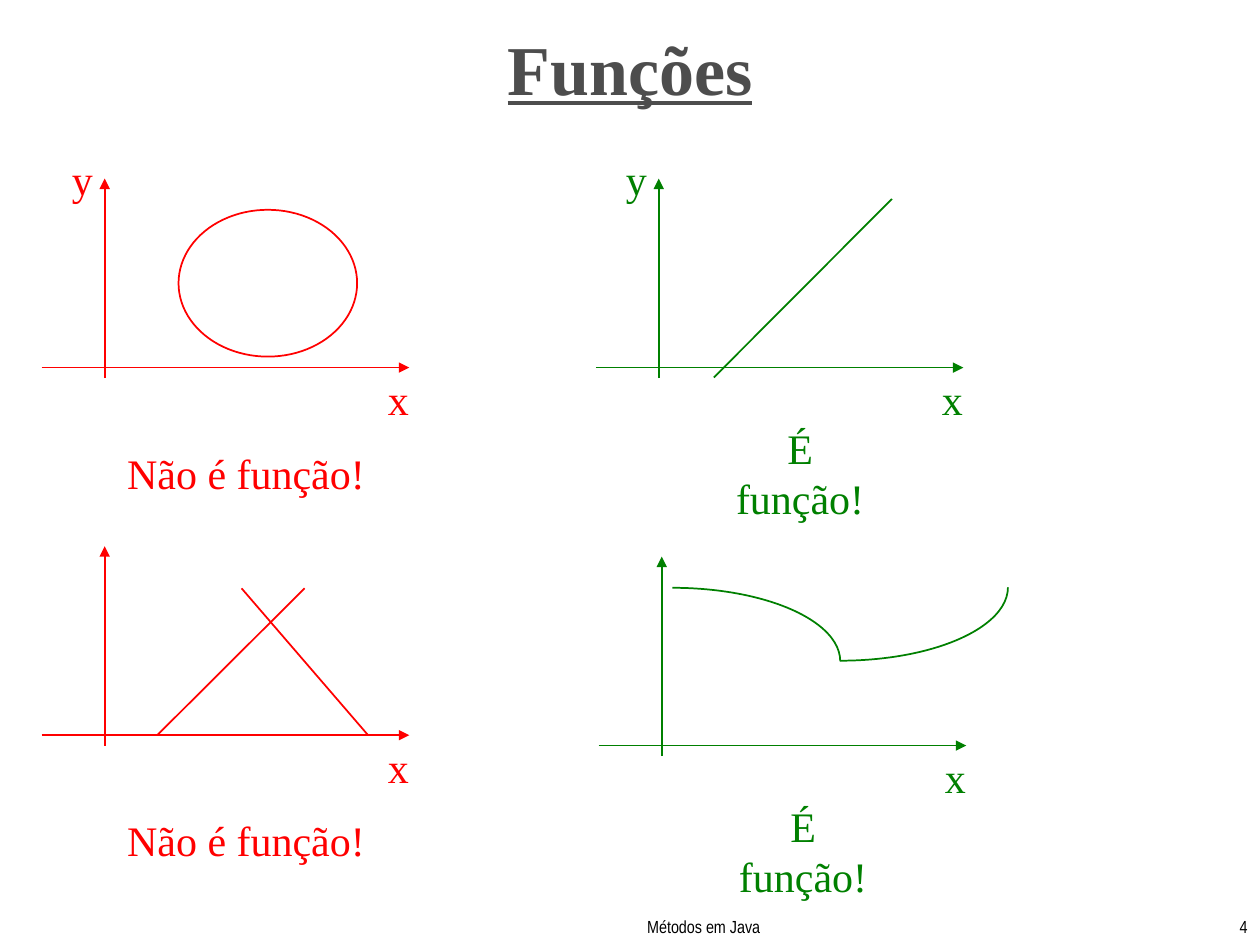
import pptx
import pptx.dml.color
import pptx.enum.shapes
import pptx.enum.text
import pptx.oxml.ns
import pptx.util
from lxml import etree

Cm = pptx.util.Cm
Pt = pptx.util.Pt
Shape = pptx.enum.shapes.MSO_SHAPE
Align = pptx.enum.text.PP_ALIGN
Anchor = pptx.enum.text.MSO_ANCHOR
AutoSize = pptx.enum.text.MSO_AUTO_SIZE

COLORS = {"title": "4D4D4D", "no": "FF0000", "yes": "008000", "footer": "000000"}
SERIF = "Times New Roman"
NARROW = "Arial Narrow"


def rgb(color):
    return pptx.dml.color.RGBColor.from_string(COLORS[color])


def write(frame, text, font_name, size, color, align, anchor, wrap=True):
    frame.text = text
    frame.word_wrap = wrap
    frame.vertical_anchor = anchor
    paragraph = frame.paragraphs[0]
    paragraph.alignment = align
    font = paragraph.runs[0].font
    font.name = font_name
    font.size = Pt(size)
    font.color.rgb = rgb(color)
    return font


def add_label(shapes, text, left, top, width, color):
    label = shapes.add_textbox(Cm(left), Cm(top), Cm(width), Cm(1.27))
    write(label.text_frame, text, SERIF, 24, color, Align.CENTER, Anchor.MIDDLE, False)
    label.text_frame.auto_size = AutoSize.SHAPE_TO_FIT_TEXT


def add_line(shapes, start, end, color, arrow=False):
    line = shapes.add_connector(
        pptx.enum.shapes.MSO_CONNECTOR.STRAIGHT, *map(Cm, start + end))
    line.line.color.rgb = rgb(color)
    line.line.width = Pt(1)
    if arrow:
        etree.SubElement(line.line._get_or_add_ln(),
                         pptx.oxml.ns.qn("a:tailEnd"), type="triangle")
    etree.SubElement(line._element.spPr, pptx.oxml.ns.qn("a:effectLst"))


def add_outline(shapes, preset, left, top, width, height, color):
    outline = shapes.add_shape(preset, Cm(left), Cm(top), Cm(width), Cm(height))
    outline.shadow.inherit = False
    outline.fill.background()
    outline.line.color.rgb = rgb(color)
    outline.line.width = Pt(1)
    return outline


def add_circle(shapes, left, top, color):
    add_outline(shapes, Shape.OVAL, left + 2.76, top + 1.27, 3.6, 2.96, color)


def add_straight(shapes, left, top, color):
    add_line(shapes, (left + 2.38, top + 4.65), (left + 5.97, top + 1.05), color)


def add_crossing(shapes, left, top, color):
    add_line(shapes, (left + 2.33, top + 4.45), (left + 5.3, top + 1.49), color)
    add_line(shapes, (left + 4.03, top + 1.49), (left + 6.58, top + 4.45), color)


def add_wave(shapes, left, top, color):
    add_outline(shapes, Shape.ARC, left - 1.9, top + 1.27, 6.77, 2.96, color)
    rising = add_outline(shapes, Shape.ARC, left + 1.48, top - 0.22, 6.77, 2.96, color)
    rising.adjustments[0] = 0
    rising.adjustments[1] = 54


def add_plot(slide, left, top, color, add_curve, y_label):
    shapes = slide.shapes.add_group_shape().shapes
    add_line(shapes, (left + 1.27, top + 4.66), (left + 1.27, top + 0.64), color, True)
    add_line(shapes, (left, top + 4.45), (left + 7.41, top + 4.45), color, True)
    add_label(shapes, "x", left + 6.73, top + 4.45, 0.91, color)
    if y_label:
        add_label(shapes, "y", left + 0.36, top, 0.91, color)
    verdict, width = {"no": ("Não é função!", 5.31), "yes": ("É função!", 3.81)}[color]
    add_label(shapes, verdict, left + 4.12 - width / 2, top + 5.93, width, color)
    add_curve(shapes, left, top, color)


def add_title(slide, left, top, width, height):
    title = slide.shapes.title
    title.left, title.top, title.width, title.height = map(Cm, (left, top, width, height))
    font = write(title.text_frame, "Funções", SERIF, 40, "title", Align.CENTER, Anchor.BOTTOM)
    font.bold = True
    font.underline = True
    title.text_frame.auto_size = AutoSize.NONE


def add_footer(slide, left, top, width, height):
    for text, offset, part_width, align in (
            ("Métodos em Java", 0, 8.05, Align.CENTER),
            ("4", width - 5.28, 5.28, Align.RIGHT)):
        part = slide.shapes.add_textbox(
            Cm(left + offset), Cm(top), Cm(part_width), Cm(height))
        write(part.text_frame, text, NARROW, 10, "footer", align, Anchor.TOP)


def main():
    deck = pptx.Presentation()
    deck.slide_width, deck.slide_height = Cm(25.4), Cm(19.05)
    slide = deck.slides.add_slide(deck.slide_layouts[5])
    add_title(slide, 0, 0.43, 25.4, 1.9)
    for left, top, color, add_curve, y_label in (
            (0.84, 2.96, "no", add_circle, True),
            (12.01, 2.96, "yes", add_straight, True),
            (0.84, 10.37, "no", add_crossing, False),
            (12.07, 10.58, "yes", add_wave, False)):
        add_plot(slide, left, top, color, add_curve, y_label)
    add_footer(slide, 10.16, 18.34, 15.24, 1.27)
    deck.save("out.pptx")


if __name__ == "__main__":
    main()
